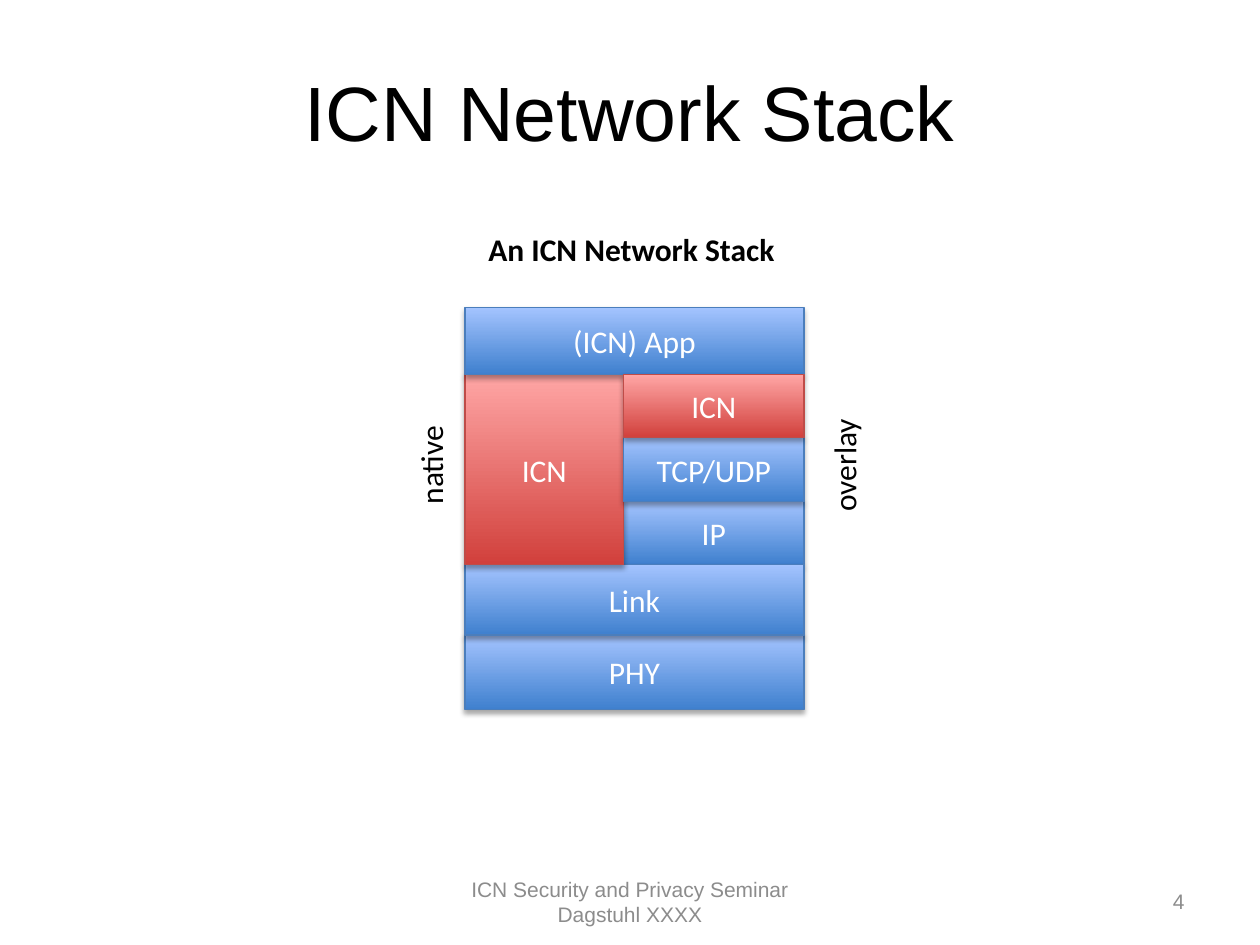
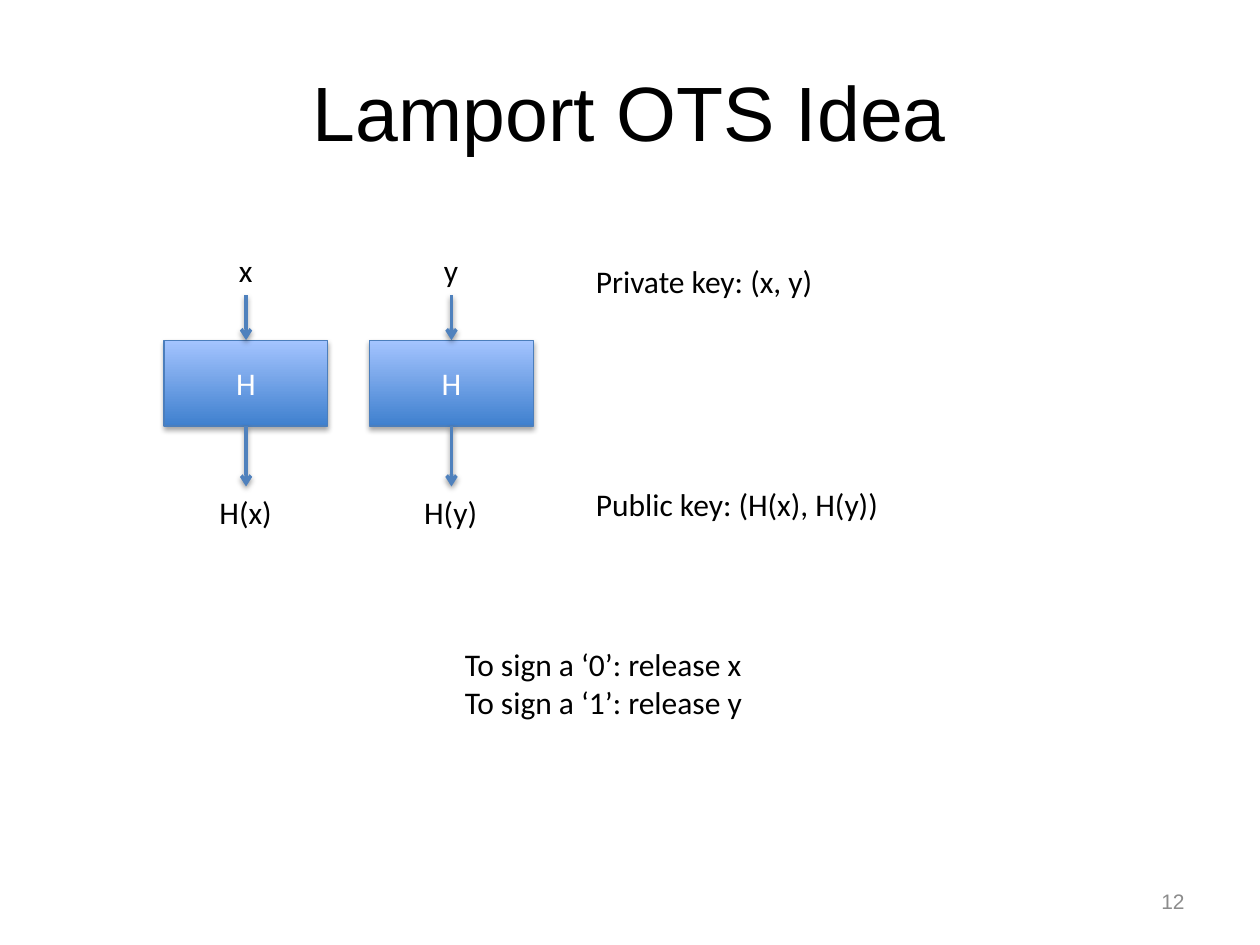
from dataclasses import dataclass

from lxml.etree import SubElement
from pptx import Presentation
from pptx.dml.color import RGBColor
from pptx.enum.shapes import MSO_CONNECTOR, MSO_SHAPE
from pptx.enum.text import MSO_ANCHOR, MSO_AUTO_SIZE, PP_ALIGN
from pptx.oxml.ns import qn
from pptx.util import Pt


@dataclass(frozen=True)
class Tone:
    bottom: str
    top: str
    outline: str


@dataclass(frozen=True)
class Theme:
    heading_font: str = "Arial"
    body_font: str = "Calibri"
    ink: str = "000000"
    muted: str = "8C8C8C"
    inverse: str = "FFFFFF"
    arrow: str = "4F81BD"
    blue: Tone = Tone("3F80CE", "A4C4FF", "4B7EBC")
    red: Tone = Tone("D1403C", "FFA6A5", "BF4C48")
    title_size: float = 44
    body_size: float = 18
    footer_size: float = 12
    box_line: float = 0.75
    arrow_line: float = 2


THEME = Theme()
LINE_HEIGHT = 29


class Deck:
    def __init__(self, theme):
        self.theme = theme
        self.presentation = Presentation()
        self.presentation.slide_width = Pt(720)
        self.presentation.slide_height = Pt(540)
        self.slide = None

    def start_slide(self, title, number):
        blank = self.presentation.slide_layouts[6]
        self.slide = self.presentation.slides.add_slide(blank)
        heading = self.text([title], 36, 29, 648, 90, PP_ALIGN.CENTER,
                            name=self.theme.heading_font, size=Pt(self.theme.title_size))
        heading.margin_top = Pt(8)
        self.footer([number], 516, 168, PP_ALIGN.RIGHT)

    def fill_text(self, frame, lines, align, **overrides):
        """Fill a text frame, one paragraph a line, in the body style unless overridden."""
        style = {"name": self.theme.body_font, "size": Pt(self.theme.body_size)}
        style.update(overrides)
        color = style.pop("color", self.theme.ink)
        for index, line in enumerate(lines):
            paragraph = frame.add_paragraph() if index else frame.paragraphs[0]
            paragraph.alignment = align
            run = paragraph.add_run()
            run.text = line
            for attribute, value in style.items():
                setattr(run.font, attribute, value)
            run.font.color.rgb = RGBColor.from_string(color)

    def text(self, lines, left, top, width, height, align, **style):
        box = self.slide.shapes.add_textbox(Pt(left), Pt(top), Pt(width), Pt(height))
        box.text_frame.word_wrap = True
        self.fill_text(box.text_frame, lines, align, **style)
        return box.text_frame

    def footer(self, lines, left, width, align):
        frame = self.text(lines, left, 500.5, width, LINE_HEIGHT, align,
                          name=self.theme.heading_font, size=Pt(self.theme.footer_size),
                          color=self.theme.muted)
        frame.vertical_anchor = MSO_ANCHOR.MIDDLE

    def label(self, lines, left, top, width, rotation=0, **style):
        """Add unwrapped text whose box fits its lines."""
        height = 7.2 + 22 * len(lines)
        box = self.slide.shapes.add_textbox(Pt(left), Pt(top), Pt(width), Pt(height))
        box.rotation = rotation
        box.text_frame.word_wrap = False
        box.text_frame.auto_size = MSO_AUTO_SIZE.SHAPE_TO_FIT_TEXT
        self.fill_text(box.text_frame, lines, PP_ALIGN.LEFT, **style)

    def box(self, caption, left, top, width, height, tone):
        block = self.slide.shapes.add_shape(
            MSO_SHAPE.RECTANGLE, Pt(left), Pt(top), Pt(width), Pt(height))
        block.fill.gradient()
        block.fill.gradient_angle = 90
        for stop, color in zip(block.fill.gradient_stops, (tone.bottom, tone.top)):
            stop.color.rgb = RGBColor.from_string(color)
        block.line.color.rgb = RGBColor.from_string(tone.outline)
        block.line.width = Pt(self.theme.box_line)
        block.shadow.inherit = False
        self.cast_shadow(block._element.spPr.find(qn("a:effectLst")), 1.8, 35)
        block.text_frame.word_wrap = True
        block.text_frame.vertical_anchor = MSO_ANCHOR.MIDDLE
        self.fill_text(block.text_frame, [caption], PP_ALIGN.CENTER, color=self.theme.inverse)

    def down_arrow(self, x, start, end):
        arrow = self.slide.shapes.add_connector(
            MSO_CONNECTOR.STRAIGHT, Pt(x), Pt(start), Pt(x), Pt(end))
        arrow.line.color.rgb = RGBColor.from_string(self.theme.arrow)
        arrow.line.width = Pt(self.theme.arrow_line)
        properties = arrow._element.spPr
        SubElement(properties.find(qn("a:ln")), qn("a:tailEnd"), type="arrow")
        self.cast_shadow(SubElement(properties, qn("a:effectLst")), 1.6, 38)

    def cast_shadow(self, effects, distance, opacity):
        shadow = SubElement(effects, qn("a:outerShdw"), blurRad=str(Pt(3.1)),
                            dist=str(Pt(distance)), dir="5400000", rotWithShape="0")
        color = SubElement(shadow, qn("a:srgbClr"), val=self.theme.ink)
        SubElement(color, qn("a:alpha"), val=str(opacity * 1000))


def build_network_stack(deck):
    deck.start_slide("ICN Network Stack", "4")
    deck.footer(["ICN Security and Privacy Seminar", "Dagstuhl XXXX"],
                246, 228, PP_ALIGN.CENTER)

    left, native_width, overlay_width = 265.7, 90.7, 103
    full_width = native_width + overlay_width
    overlay_left = left + native_width
    app_top, app_height, layer_height = 175.7, 38.2, 36.25
    link_height, phy_height = 40.3, 42.5
    icn_top = app_top + app_height
    tcp_top = icn_top + layer_height
    ip_top = tcp_top + layer_height
    link_top = ip_top + layer_height
    phy_top = link_top + link_height

    blue, red = deck.theme.blue, deck.theme.red
    for layer in (
        ("IP", overlay_left, ip_top, overlay_width, layer_height, blue),
        ("PHY", left, phy_top, full_width, phy_height, blue),
        ("Link", left, link_top, full_width, link_height, blue),
        ("ICN", left, icn_top, native_width, 3 * layer_height, red),
        ("(ICN) App", left, app_top, full_width, app_height, blue),
        ("TCP/UDP", overlay_left, tcp_top, overlay_width, layer_height, blue),
        ("ICN", overlay_left, icn_top, overlay_width, layer_height, red),
    ):
        deck.box(*layer)

    deck.label(["native"], 216, 250.5, 60.5, rotation=270)
    deck.label(["overlay"], 448, 250.5, 69, rotation=270)
    deck.label(["An ICN Network Stack"], 272, 128, 180, bold=True)


def build_lamport_idea(deck):
    deck.start_slide("Lamport OTS Idea", "12")
    hash_width, hash_top, hash_height = 93.6, 194.4, 49
    hash_bottom = hash_top + hash_height
    secret_top, digest_top = 139.7, 278
    for secret, center, secret_width, digest_width in (
        ("x", 140.6, 22.3, 44.6), ("y", 258, 23, 45.4),
    ):
        deck.label([secret], center - secret_width / 2, secret_top, secret_width)
        deck.box("H", center - hash_width / 2, hash_top, hash_width, hash_height,
                 deck.theme.blue)
        deck.label([f"H({secret})"], center - digest_width / 2, digest_top, digest_width)
        deck.down_arrow(center, secret_top + LINE_HEIGHT, hash_top)
        deck.down_arrow(center, hash_bottom, digest_top)

    keys_left = 333.4
    deck.label(["Private key: (x, y)"], keys_left, 146.2, 141)
    deck.label(["Public key: (H(x), H(y))"], keys_left, 273.6, 178)
    deck.label(["To sign a ‘0’: release x", "To sign a ‘1’: release y"], 258.5, 365, 176.4)


def main():
    deck = Deck(THEME)
    build_network_stack(deck)
    build_lamport_idea(deck)
    deck.presentation.save("out.pptx")


if __name__ == "__main__":
    main()
